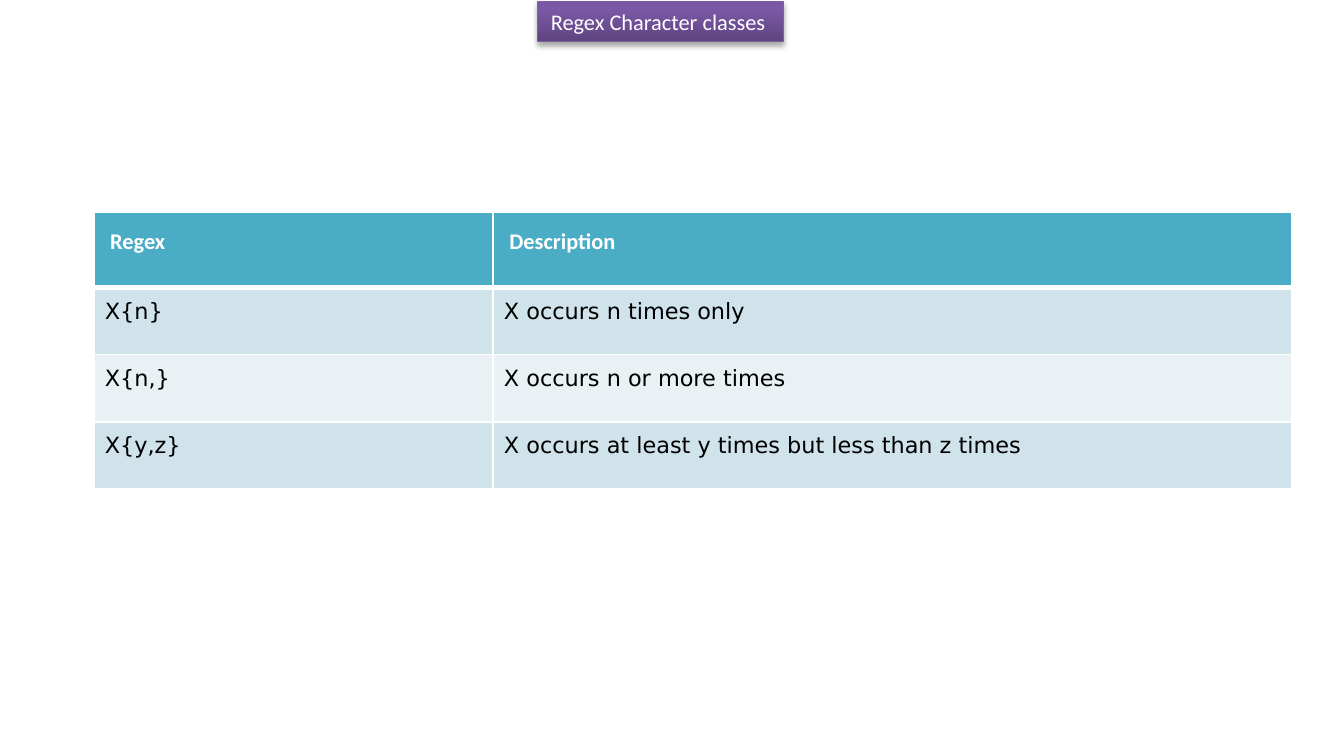
from copy import deepcopy

from lxml import etree
from pptx import Presentation
from pptx import util as u
from pptx.dml.color import RGBColor
from pptx.enum import shapes, text
from pptx.oxml import ns

WHITE = RGBColor(0xFF, 0xFF, 0xFF)
BLACK = RGBColor(0, 0, 0)
PURPLE_LINE = RGBColor(0x7D, 0x60, 0xA0)
PURPLES = [(0, RGBColor(0x5F, 0x44, 0x80)), (0.8, RGBColor(0x7B, 0x58, 0xA6)),
           (1, RGBColor(0x7C, 0x57, 0xA8))]
TEAL = RGBColor(0x4B, 0xAC, 0xC6)
BANDS = [RGBColor(0xE9, 0xF1, 0xF5), RGBColor(0xD0, 0xE3, 0xEA)]

HEADER_FONT = {"name": "Calibri", "size": u.Pt(12), "bold": True}
BODY_FONT = {"name": "DejaVu Sans", "size": u.Pt(12), "bold": False}
TITLE_FONT = {"name": "Calibri", "size": u.Pt(12)}


def add_text(p, words, fmt, color):
    r = p.add_run()
    r.text = words
    for key, value in fmt.items():
        setattr(r.font, key, value)
    r.font.color.rgb = color


def add_xml(parent, tag, **attrs):
    return etree.SubElement(parent, ns.qn(tag), {k: str(v) for k, v in attrs.items()})


prs = Presentation()
prs.slide_width, prs.slide_height = u.Inches(10), u.Inches(5.5)
s = prs.slides.add_slide(prs.slide_layouts[6])

# Title tab at the top edge
sp = s.shapes.add_shape(shapes.MSO_SHAPE.RECTANGLE, int(prs.slide_width * 0.4),
                        u.Inches(0.01), u.Inches(1.83), u.Inches(0.3))
sp.fill.gradient()
sp.fill.gradient_angle = 90
stop_list = sp.fill._fill._gradFill.gsLst
stop_list.append(deepcopy(stop_list[-1]))
for stop, (position, color) in zip(sp.fill.gradient_stops, PURPLES):
    stop.position = position
    stop.color.rgb = color
sp.line.color.rgb = PURPLE_LINE
sp.line.width = u.Pt(0.75)

# Soft shadow under the tab
sp.shadow.inherit = False
effects = sp._element.spPr.find(ns.qn("a:effectLst"))
shadow = add_xml(effects, "a:outerShdw", blurRad=u.Pt(3.1), dist=u.Pt(1.8),
                 dir=5400000, rotWithShape=0)
add_xml(add_xml(shadow, "a:srgbClr", val=BLACK), "a:alpha", val=35000)

tf = sp.text_frame
tf.word_wrap = False
tf.auto_size = text.MSO_AUTO_SIZE.SHAPE_TO_FIT_TEXT
tf.vertical_anchor = text.MSO_ANCHOR.TOP
p = tf.paragraphs[0]
p.alignment = text.PP_ALIGN.LEFT
add_text(p, "Regex Character classes", TITLE_FONT, WHITE)

# Quantifier table: one third for the regex, two thirds for its description
rows = [
    ("Regex", "Description"),
    ("X{n}", "X occurs n times only"),
    ("X{n,}", "X occurs n or more times"),
    ("X{y,z}", "X occurs at least y times but less than z times"),
]
col, row = u.Inches(2.97), u.Inches(0.5)
header_row = u.Inches(0.56)
table = s.shapes.add_table(len(rows), 2, u.Inches(0.7), u.Inches(1.58),
                           3 * col, header_row + 3 * row).table
for i, share in enumerate((1, 2)):
    table.columns[i].width = share * col

for i, words in enumerate(rows):
    header = i == 0
    table.rows[i].height = header_row if header else row
    for j, word in enumerate(words):
        cell = table.cell(i, j)
        inset = u.Inches(0.12 if header else 0.08)
        for side in ("left", "right", "top", "bottom"):
            setattr(cell, f"margin_{side}", inset)
        p = cell.text_frame.paragraphs[0]
        if not header:
            p.alignment = text.PP_ALIGN.JUSTIFY
        add_text(p, word, HEADER_FONT if header else BODY_FONT,
                 WHITE if header else BLACK)

        # White borders, thick between header and body
        tcPr = cell._tc.get_or_add_tcPr()
        for side in "LRTB":
            thick = (header and side == "B") or (i == 1 and side == "T")
            ln = add_xml(tcPr, f"a:ln{side}", w=u.Pt(3 if thick else 1))
            add_xml(add_xml(ln, "a:solidFill"), "a:srgbClr", val=WHITE)
        cell.fill.solid()
        cell.fill.fore_color.rgb = TEAL if header else BANDS[i % 2]

prs.save("out.pptx")
